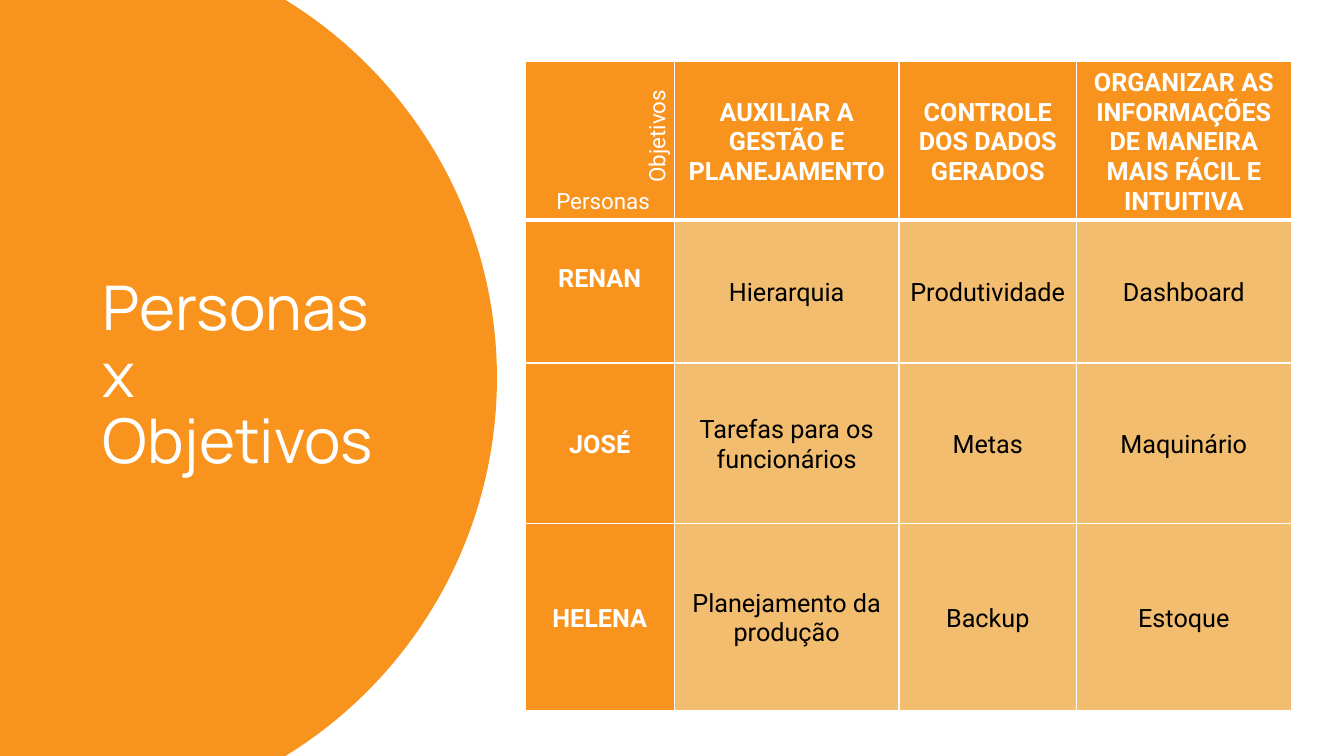
import math
from dataclasses import dataclass

import lxml.etree
import pptx
import pptx.dml.color
import pptx.enum.text
import pptx.oxml.ns
import pptx.util

Pt = pptx.util.Pt
ALIGN = pptx.enum.text.PP_ALIGN
ANCHOR = pptx.enum.text.MSO_ANCHOR


@dataclass(frozen=True)
class Theme:
    """Colours, fonts and type sizes of the slide."""
    orange: str = "F8931D"
    sand: str = "F2BD6E"
    white: str = "FFFFFF"
    black: str = "000000"
    title_font: str = "Manrope"
    body_font: str = "Roboto"
    title_size: int = 44
    cell_size: int = 18
    axis_size: int = 16


@dataclass(frozen=True)
class Box:
    """A rectangle in points."""
    left: float
    top: float
    width: float
    height: float

    def lengths(self):
        """Return the four lengths in python-pptx order."""
        return Pt(self.left), Pt(self.top), Pt(self.width), Pt(self.height)


THEME = Theme()
COLUMN_WIDTHS = (106.56, 160.56, 126.72, 153.36)
ROW_HEIGHTS = (110.16, 102.24, 114.48, 133.92)
GOALS = (
    ("", "AUXILIAR A GESTÃO E PLANEJAMENTO", "CONTROLE DOS DADOS GERADOS",
     "ORGANIZAR AS INFORMAÇÕES DE MANEIRA MAIS FÁCIL E INTUITIVA"),
    ("RENAN", "Hierarquia", "Produtividade", "Dashboard"),
    ("JOSÉ", "Tarefas para os funcionários", "Metas", "Maquinário"),
    ("HELENA", "Planejamento da produção", "Backup", "Estoque"),
)


def rgb(value):
    """Turn a hexadecimal string into a colour."""
    return pptx.dml.color.RGBColor.from_string(value)


def format_text(text_frame, font_name, size, color, bold=False):
    """Format every run of a text frame."""
    for paragraph in text_frame.paragraphs:
        for run in paragraph.runs:
            run.font.name = font_name
            run.font.size = Pt(size)
            run.font.bold = bold
            run.font.color.rgb = rgb(color)


def add_title_panel(slide, box, radius):
    """Draw the round-edged panel and place the title on it."""
    center_x = box.left + box.width - radius
    center_y = box.top + box.height / 2
    half_angle = math.asin(box.height / 2 / radius)
    steps = 120
    angles = [half_angle * (2 * step / steps - 1) for step in range(steps + 1)]
    arc = [(Pt(center_x + radius * math.cos(angle)), Pt(center_y + radius * math.sin(angle)))
           for angle in angles]
    builder = slide.shapes.build_freeform(Pt(box.left), Pt(box.top))
    builder.add_line_segments(arc + [(Pt(box.left), Pt(box.top + box.height))], close=True)
    panel = builder.convert_to_shape()
    panel.shadow.inherit = False
    panel.fill.solid()
    panel.fill.fore_color.rgb = rgb(THEME.orange)
    panel.line.fill.background()

    title = slide.shapes.title
    title.element.addprevious(panel.element)
    title_box = Box(box.left + 66.24, box.top + 50.4, 232.56, 438.48)
    title.left, title.top, title.width, title.height = title_box.lengths()
    text_frame = title.text_frame
    text_frame.text = "Personas x Objetivos"
    text_frame.word_wrap = True
    text_frame.auto_size = pptx.enum.text.MSO_AUTO_SIZE.NONE
    text_frame.vertical_anchor = ANCHOR.MIDDLE
    text_frame.paragraphs[0].alignment = ALIGN.LEFT
    text_frame.paragraphs[0].line_spacing = 0.9
    format_text(text_frame, THEME.title_font, THEME.title_size, THEME.white)


def set_borders(cell, widths):
    """Give a cell white borders, with widths for left, right, top and bottom."""
    qualified = pptx.oxml.ns.qn
    properties = cell._tc.get_or_add_tcPr()
    for index, (side, width) in enumerate(zip("LRTB", widths)):
        line = lxml.etree.Element(qualified(f"a:ln{side}"), w=str(Pt(width)))
        fill = lxml.etree.SubElement(line, qualified("a:solidFill"))
        lxml.etree.SubElement(fill, qualified("a:srgbClr"), val=THEME.white)
        properties.insert(index, line)


def add_goal_table(slide, box):
    """Add the table of personas against goals."""
    table = slide.shapes.add_table(len(ROW_HEIGHTS), len(COLUMN_WIDTHS), *box.lengths()).table
    for column, width in zip(table.columns, COLUMN_WIDTHS):
        column.width = Pt(width)
    for row, height in zip(table.rows, ROW_HEIGHTS):
        row.height = Pt(height)
    for row_index, texts in enumerate(GOALS):
        for column_index, text in enumerate(texts):
            cell = table.cell(row_index, column_index)
            heading = row_index == 0 or column_index == 0
            cell.fill.solid()
            cell.fill.fore_color.rgb = rgb(THEME.orange if heading else THEME.sand)
            set_borders(cell, (1, 1, 3 if row_index == 1 else 1, 3 if row_index == 0 else 1))
            cell.margin_left = cell.margin_right = cell.margin_top = Pt(5)
            cell.margin_bottom = Pt(23 if text == "RENAN" else 2.5)
            cell.vertical_anchor = ANCHOR.MIDDLE
            cell.text_frame.text = text
            cell.text_frame.paragraphs[0].alignment = ALIGN.CENTER
            format_text(cell.text_frame, THEME.body_font, THEME.cell_size,
                        THEME.white if heading else THEME.black, heading)


def add_axis_label(slide, box, text, rotation=0):
    """Add a label that names one direction of the table."""
    label = slide.shapes.add_textbox(*box.lengths())
    label.rotation = rotation
    label.text_frame.word_wrap = True
    label.text_frame.text = text
    format_text(label.text_frame, THEME.body_font, THEME.axis_size, THEME.white)


def add_goal_region(slide, box):
    """Add the table and the two labels in its corner cell."""
    add_goal_table(slide, box)
    add_axis_label(slide, Box(box.left + 15.12, box.top + 86.4, 130.32, 26.64), "Personas")
    add_axis_label(slide, Box(box.left + 28.8, box.top + 15.12, 130.32, 26.64), "Objetivos", 270)


def main():
    """Build and save the presentation."""
    presentation = pptx.Presentation()
    presentation.slide_width, presentation.slide_height = Pt(960), Pt(540)
    slide = presentation.slides.add_slide(presentation.slide_layouts[5])
    add_title_panel(slide, Box(0, 0, 355, 540), 316.8)
    add_goal_region(slide, Box(375.12, 43.92, sum(COLUMN_WIDTHS), sum(ROW_HEIGHTS)))
    presentation.save("out.pptx")


if __name__ == "__main__":
    main()
